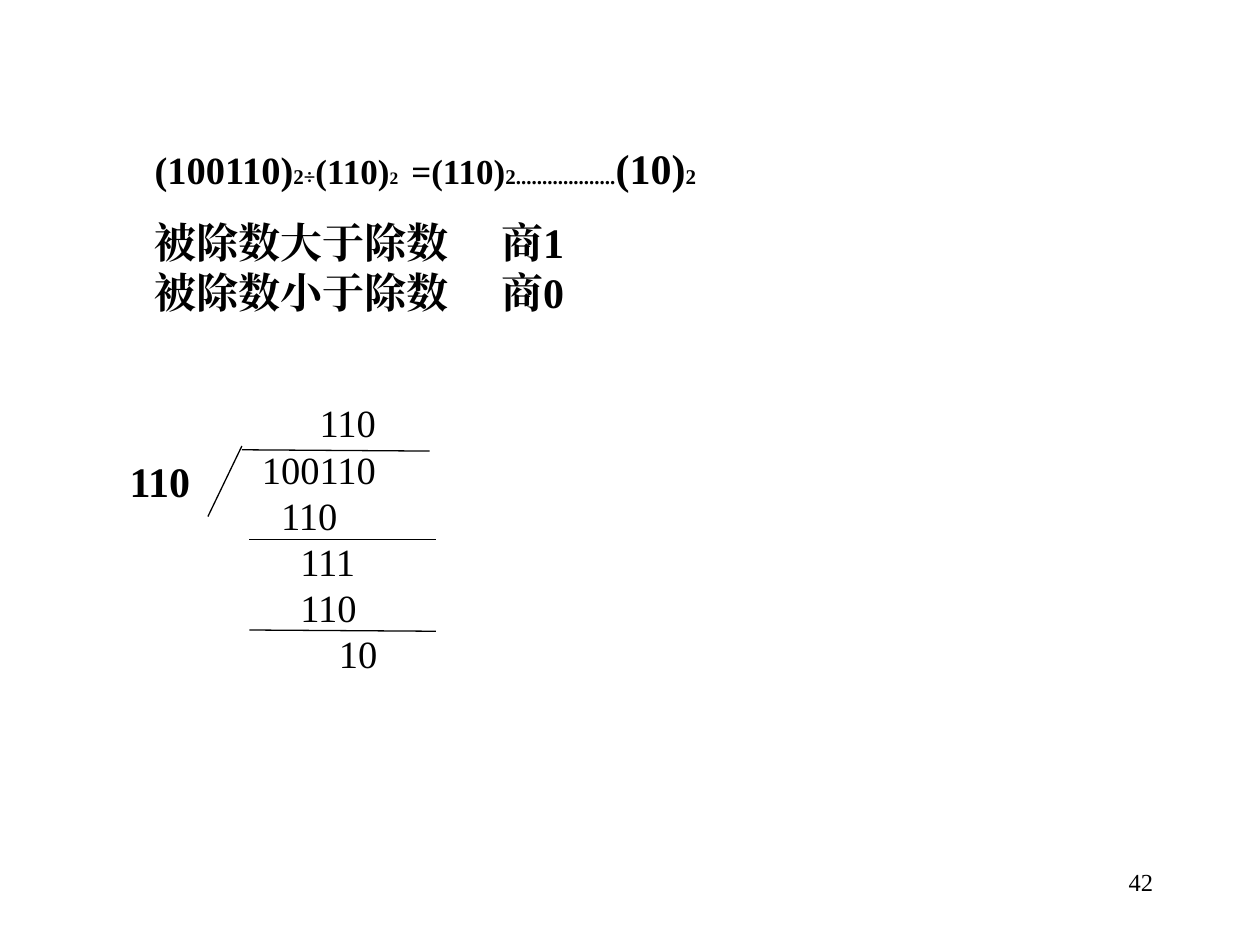
from typing import NamedTuple

from pptx import Presentation
from pptx.dml.color import RGBColor
from pptx.enum.shapes import MSO_CONNECTOR as Connector
from pptx.enum.text import PP_ALIGN as Align
from pptx.oxml.ns import qn
from pptx.util import Inches, Pt
from lxml.etree import SubElement

COLORS = {"ink": "000000", "paper": "FFFFFF"}
FONT = "Times New Roman"
LINE_FACTOR = 1.2
QUOTIENT_TAB = 2.75


class Box(NamedTuple):
    left: float
    top: float
    width: float
    height: float


class Piece(NamedTuple):
    text: str
    size: float


class Line(NamedTuple):
    pieces: list[Piece]
    bold: bool = False
    align: Align = Align.LEFT
    indent: float = 0
    tab: float = 0
    before: float = 0


class Rule(NamedTuple):
    x1: float
    y1: float
    x2: float
    y2: float


EQUATION = [
    Piece("(100110)", 22), Piece("2÷", 12), Piece("(110)", 20), Piece("2 ", 10),
    Piece(" =(110)", 20), Piece("2...................", 12),
    Piece("(10)", 24), Piece("2", 12),
]
QUOTIENT_RULES = ["被除数大于除数\t商1", "被除数小于除数\t商0"]

# Each row of the long division: digits and the column where they start
DIVISION_SIZE = 22
DIGIT_WIDTH = DIVISION_SIZE / 2 / 72
DIVISION_ROWS = [("110", 3), ("100110", 0), ("110", 1),
                 ("111", 2), ("110", 2), ("10", 4)]

DIVISION_RULES = [
    Rule(1.92, 3.54, 1.65, 4.1),
    Rule(1.92, 3.57, 3.41, 3.58),
    Rule(1.98, 4.28, 3.46, 4.28),
    Rule(1.98, 5, 3.46, 5.01),
]


def add_text(slide, box: Box, lines: list[Line]) -> None:
    frame = slide.shapes.add_textbox(*map(Inches, box)).text_frame
    frame.word_wrap = True
    for index, line in enumerate(lines):
        paragraph = frame.add_paragraph() if index else frame.paragraphs[0]
        properties = paragraph._p.get_or_add_pPr()
        properties.set("marL", str(Inches(line.indent)))
        if line.tab:
            stops = SubElement(properties, qn("a:tabLst"))
            SubElement(stops, qn("a:tab"), pos=str(Inches(line.tab)), algn="l")
        largest = max(piece.size for piece in line.pieces)
        spacing = {
            "alignment": line.align,
            "line_spacing": Pt(largest * LINE_FACTOR),
            "space_before": Pt(line.before),
        }
        for name, value in spacing.items():
            setattr(paragraph, name, value)
        for piece in line.pieces:
            run = paragraph.add_run()
            run.text = piece.text
            style = {"name": FONT, "size": Pt(piece.size), "bold": line.bold}
            for name, value in style.items():
                setattr(run.font, name, value)
            run.font.color.rgb = RGBColor.from_string(COLORS["ink"])
            SubElement(run._r.get_or_add_rPr(), qn("a:ea"), typeface=FONT)


def add_rule(slide, rule: Rule) -> None:
    connector = slide.shapes.add_connector(Connector.STRAIGHT, *map(Inches, rule))
    connector.line.color.rgb = RGBColor.from_string(COLORS["ink"])
    connector.line.width = Pt(0.75)
    SubElement(connector._element.spPr, qn("a:effectLst"))


def main() -> None:
    deck = Presentation()
    deck.slide_width, deck.slide_height = Inches(10), Inches(7.5)
    slide = deck.slides.add_slide(deck.slide_layouts[6])
    slide.background.fill.solid()
    slide.background.fill.fore_color.rgb = RGBColor.from_string(COLORS["paper"])

    add_text(slide, Box(7.17, 6.83, 2.08, 0.5),
             [Line([Piece("42", 14)], align=Align.RIGHT)])
    statement = [Line(EQUATION, bold=True)] + [
        Line([Piece(text, 24)], bold=True, tab=QUOTIENT_TAB,
             before=0 if index else 13.5)
        for index, text in enumerate(QUOTIENT_RULES)
    ]
    add_text(slide, Box(1.13, 1.08, 7.73, 3.73), statement)
    add_text(slide, Box(0.93, 3.57, 0.85, 0.5),
             [Line([Piece("110", 24)], bold=True)])
    add_text(slide, Box(1.98, 3.12, 1.21, 2.32),
             [Line([Piece(digits, DIVISION_SIZE)], indent=column * DIGIT_WIDTH)
              for digits, column in DIVISION_ROWS])
    for rule in DIVISION_RULES:
        add_rule(slide, rule)

    deck.save("out.pptx")


if __name__ == "__main__":
    main()
